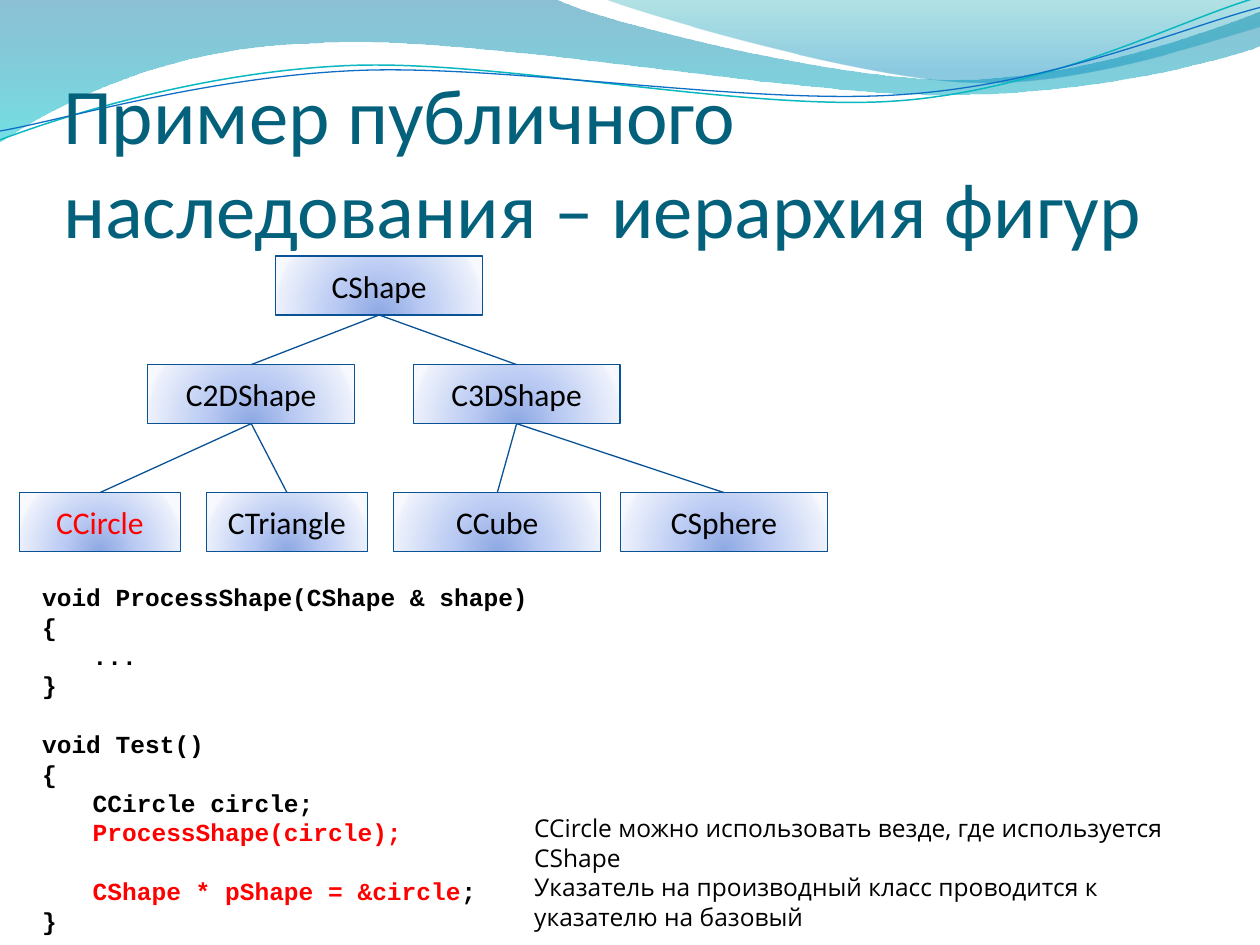
from dataclasses import dataclass
from math import cos, radians, sin
from typing import Any, Optional

from lxml import etree
from pptx import Presentation
from pptx.dml.color import RGBColor
from pptx.enum.shapes import MSO_CONNECTOR, MSO_SHAPE
from pptx.enum.text import MSO_ANCHOR, MSO_AUTO_SIZE, PP_ALIGN
from pptx.oxml import parse_xml
from pptx.oxml.ns import nsdecls, qn
from pptx.util import Cm, Pt

RECTANGLE, STRAIGHT = MSO_SHAPE.RECTANGLE, MSO_CONNECTOR.STRAIGHT
BOTTOM, MIDDLE = MSO_ANCHOR.BOTTOM, MSO_ANCHOR.MIDDLE
LEFT, CENTER = PP_ALIGN.LEFT, PP_ALIGN.CENTER
FIXED, GROW = MSO_AUTO_SIZE.NONE, MSO_AUTO_SIZE.SHAPE_TO_FIT_TEXT
BOTTOM_SITE, TOP_SITE = 2, 0
TITLE_ONLY = 5
UNIT = 2.54
TILT = 2.7
BOX_HEIGHT = Cm(1.19)
LINE_PITCH = Pt(16.8)

COLOURS = {
    "title": "04617B", "text": "000000", "accent": "FF0000", "edge": "095295",
    "teal line": "0AB8BF", "blue line": "0F6FC6",
}
BOX_STOPS = [(0, "8DA8E3", 100), (43, "BBCBF3", 100), (93, "EAEFFB", 100), (100, "F7F9FF", 100)]
BOX_SHADE = '<a:path path="circle"><a:fillToRect l="50000" t="130000" r="50000" b="-30000"/></a:path>'
WAVE_SHADE = '<a:lin ang="5400000" scaled="0"/>'

TITLE_FRAME = {"auto_size": FIXED, "vertical_anchor": BOTTOM, "margin_left": 0,
               "margin_right": 0, "margin_bottom": 0}
BOX_FRAME = {"word_wrap": True, "vertical_anchor": MIDDLE}
NOTE_FRAME = {"word_wrap": True, "auto_size": GROW}
TITLE_FONT = {"name": "Calibri", "size": Pt(45)}
BOX_FONT = {"name": "Calibri", "size": Pt(18)}
CODE_FONT = {"name": "Courier New", "size": Pt(14), "bold": True}
NOTE_FONT = {"name": "Open Sans", "size": Pt(14)}


@dataclass
class Wave:
    start: tuple
    segments: list
    stops: Optional[list] = None
    line: str = ""
    width: float = 0
    centre: Optional[tuple] = None


@dataclass
class ClassBox:
    name: str
    left: float
    top: float
    width: float = 4.17
    parent: str = ""
    colour: str = "text"


@dataclass
class CodeLine:
    runs: list
    indented: bool = False
    gap_before: bool = False


@dataclass
class Note:
    text: str
    top: float
    width: float
    height: float
    margin_right: float = 0.25


WAVES = [
    Wave((0, 0), [
        [(4.4, -0.01)],
        [(4.76, 0.17), (6.64, 0.63), (7.58, 0.63)],
        [(8.53, 0.63), (9.58, 0.26), (10, 0.09)],
        [(10.01, 0.36)],
        [(9.83, 0.44), (8.7, 0.76), (7.46, 0.75)],
        [(6.22, 0.75), (3.82, 0.28), (2.57, 0.34)],
        [(1.29, 0.36), (0.46, 0.83), (-0.01, 1.13)],
    ], stops=[(0, "0074A1", 45), (100, "00C6CF", 55)]),
    Wave((4.79, -0.01), [
        [(5.09, 0.11), (6.82, 0.62), (7.69, 0.65)],
        [(8.56, 0.69), (9.61, 0.32), (10, 0.21)],
        [(10, 0)],
    ], stops=[(0, "00A1A9", 30), (80, "008BBF", 45)]),
    Wave((0, 1.11), [
        [(0.48, 0.93), (1.58, 0.57), (2.77, 0.52)],
        [(3.95, 0.47), (5.93, 0.89), (7.13, 0.8)],
        [(8.33, 0.71), (9.38, 0.15), (9.98, -0.02)],
    ], line="teal line", width=0.85, centre=(4.99, 0.58)),
    Wave((0, 1.04), [
        [(0.47, 0.96), (1.64, 0.61), (2.83, 0.56)],
        [(4.03, 0.51), (5.97, 0.84), (7.17, 0.75)],
        [(8.36, 0.67), (9.41, 0.21), (10, 0.06)],
    ], line="blue line", width=0.75, centre=(5, 0.59)),
]
CLASS_BOXES = [
    ClassBox("CShape", 5.56, 5.16),
    ClassBox("C2DShape", 2.98, 7.35, parent="CShape"),
    ClassBox("C3DShape", 8.33, 7.35, parent="CShape"),
    ClassBox("CCircle", 0.39, 9.93, 3.25, "C2DShape", "accent"),
    ClassBox("CTriangle", 4.16, 9.93, 3.25, "C2DShape"),
    ClassBox("CCube", 7.94, 9.93, parent="C3DShape"),
    ClassBox("CSphere", 12.51, 9.93, parent="C3DShape"),
]
CODE = [
    CodeLine([("void ProcessShape(CShape & shape)", "text")]),
    CodeLine([("{", "text")]),
    CodeLine([("...", "text")], indented=True),
    CodeLine([("}", "text")]),
    CodeLine([("void Test()", "text")], gap_before=True),
    CodeLine([("{", "text")]),
    CodeLine([("CCircle circle;", "text")], indented=True),
    CodeLine([("ProcessShape(circle);", "accent")], indented=True),
    CodeLine([("CShape * pShape = &circle", "accent"), (";", "text")], True, True),
    CodeLine([("}", "text")]),
]
NOTES = [
    Note("CCircle можно использовать везде, где используется CShape", 16.27, 14.88, 0.86, 0.8),
    Note("Указатель на производный класс проводится к указателю на базовый", 17.46, 12.7, 1.45),
]


def apply_format(target: Any, values: dict) -> None:
    for name, value in values.items():
        setattr(target, name, value)


def add_run(paragraph: Any, text: str, font: dict, colour: str) -> None:
    run = paragraph.add_run()
    run.text = text
    apply_format(run.font, font)
    run.font.color.rgb = RGBColor.from_string(COLOURS[colour])


def set_line(shape: Any, colour: str, width: float) -> None:
    shape.line.color.rgb = RGBColor.from_string(COLOURS[colour])
    shape.line.width = Pt(width)


def set_gradient(shape: Any, stops: list, shade: str) -> None:
    stop_xml = "".join(
        f'<a:gs pos="{position * 1000}"><a:srgbClr val="{colour}">'
        f'<a:alpha val="{opacity * 1000}"/></a:srgbClr></a:gs>'
        for position, colour, opacity in stops)
    gradient = parse_xml(f'<a:gradFill {nsdecls("a")} rotWithShape="1">'
                         f'<a:gsLst>{stop_xml}</a:gsLst>{shade}</a:gradFill>')
    shape.fill.background()
    properties = shape.element.spPr
    properties.replace(properties.find(qn("a:noFill")), gradient)


def place_point(point: tuple, centre: Optional[tuple]) -> tuple:
    x, y = point
    if centre:
        across, down, angle = x - centre[0], y - centre[1], radians(TILT)
        x = centre[0] + across * cos(angle) - down * sin(angle)
        y = centre[1] + across * sin(angle) + down * cos(angle)
    return Cm(x * UNIT), Cm(y * UNIT)


def bend_segments(shape: Any, segments: list) -> None:
    corners = iter(list(shape.element.iter(qn("a:lnTo"))))
    for segment in segments:
        group = [next(corners) for _ in segment]
        if len(group) == 3:
            curve = etree.Element(qn("a:cubicBezTo"))
            group[0].addprevious(curve)
            for corner in group:
                curve.append(corner[0])
                corner.getparent().remove(corner)


def draw_wave(slide: Any, wave: Wave) -> None:
    builder = slide.shapes.build_freeform(*place_point(wave.start, wave.centre))
    points = [place_point(point, wave.centre) for segment in wave.segments for point in segment]
    builder.add_line_segments(points, close=bool(wave.stops))
    shape = builder.convert_to_shape()
    bend_segments(shape, wave.segments)
    shape.shadow.inherit = False
    if wave.centre:
        shape.rotation = 360 - TILT
    if wave.stops:
        set_gradient(shape, wave.stops, WAVE_SHADE)
        shape.line.fill.background()
    else:
        shape.fill.background()
        set_line(shape, wave.line, wave.width)


def draw_title(slide: Any, text: str) -> None:
    title = slide.shapes.title
    slide.shapes.element.append(title.element)
    apply_format(title, {"left": Cm(1.27), "top": Cm(1.95), "width": Cm(23.06), "height": Cm(3.18)})
    apply_format(title.text_frame, TITLE_FRAME)
    paragraph = title.text_frame.paragraphs[0]
    paragraph.alignment = LEFT
    add_run(paragraph, text, TITLE_FONT, "title")


def draw_class_box(slide: Any, box: ClassBox) -> Any:
    shape = slide.shapes.add_shape(RECTANGLE, Cm(box.left), Cm(box.top), Cm(box.width), BOX_HEIGHT)
    shape.shadow.inherit = False
    set_gradient(shape, BOX_STOPS, BOX_SHADE)
    set_line(shape, "edge", 0.75)
    apply_format(shape.text_frame, BOX_FRAME)
    paragraph = shape.text_frame.paragraphs[0]
    paragraph.alignment = CENTER
    add_run(paragraph, box.name, BOX_FONT, box.colour)
    return shape


def draw_link(slide: Any, parent: Any, child: Any) -> None:
    connector = slide.shapes.add_connector(STRAIGHT, 0, 0, 0, 0)
    connector.begin_connect(parent, BOTTOM_SITE)
    connector.end_connect(child, TOP_SITE)
    set_line(connector, "edge", 0.75)
    etree.SubElement(connector.element.spPr, qn("a:effectLst"))


def draw_code(slide: Any, lines: list) -> None:
    frame = slide.shapes.add_textbox(Cm(0.6), Cm(11.61), Cm(13.89), Cm(7.44)).text_frame
    apply_format(frame, NOTE_FRAME)
    for index, line in enumerate(lines):
        paragraph = frame.add_paragraph() if index else frame.paragraphs[0]
        paragraph.line_spacing = LINE_PITCH
        if line.gap_before:
            paragraph.space_before = LINE_PITCH
        if line.indented:
            paragraph._p.get_or_add_pPr().set("marL", str(Cm(1.02)))
        for text, colour in line.runs:
            add_run(paragraph, text, CODE_FONT, colour)


def draw_note(slide: Any, note: Note) -> None:
    frame = slide.shapes.add_textbox(Cm(10.52), Cm(note.top), Cm(note.width), Cm(note.height)).text_frame
    apply_format(frame, {**NOTE_FRAME, "margin_right": Cm(note.margin_right)})
    paragraph = frame.paragraphs[0]
    paragraph.line_spacing = LINE_PITCH
    add_run(paragraph, note.text, NOTE_FONT, "text")


def main() -> None:
    presentation = Presentation()
    apply_format(presentation, {"slide_width": Cm(25.4), "slide_height": Cm(19.05)})
    slide = presentation.slides.add_slide(presentation.slide_layouts[TITLE_ONLY])
    for wave in WAVES:
        draw_wave(slide, wave)
    draw_title(slide, "Пример публичного наследования – иерархия фигур")
    shapes = {box.name: draw_class_box(slide, box) for box in CLASS_BOXES}
    for box in CLASS_BOXES:
        if box.parent:
            draw_link(slide, shapes[box.parent], shapes[box.name])
    draw_code(slide, CODE)
    for note in NOTES:
        draw_note(slide, note)
    presentation.save("out.pptx")


if __name__ == "__main__":
    main()
